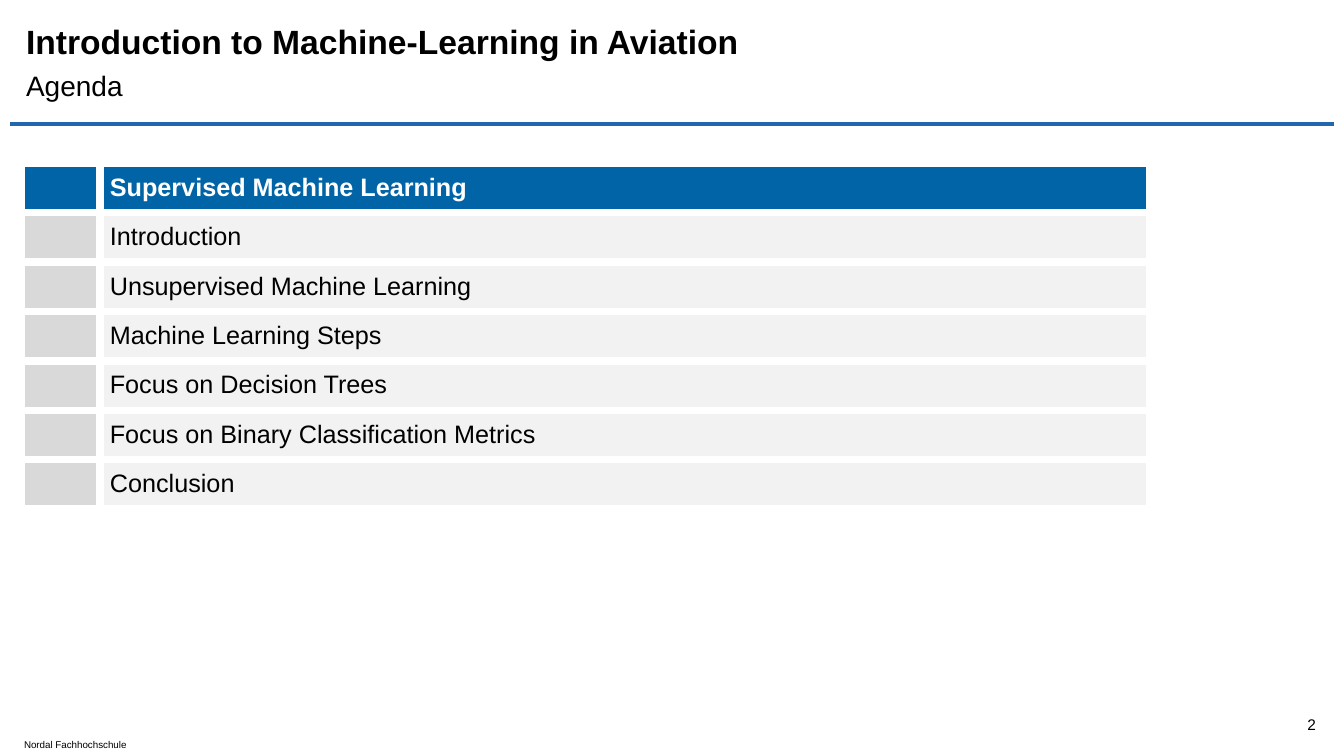
from lxml import etree
from pptx import Presentation
from pptx.dml.color import RGBColor
from pptx.enum.shapes import MSO_CONNECTOR
from pptx.enum.text import MSO_ANCHOR as ANCHOR, PP_ALIGN as ALIGN
from pptx.oxml import parse_xml
from pptx.oxml.ns import nsdecls, qn
from pptx.util import Inches, Pt

TOPICS = [
    "Supervised Machine Learning",
    "Introduction",
    "Unsupervised Machine Learning",
    "Machine Learning Steps",
    "Focus on Decision Trees",
    "Focus on Binary Classification Metrics",
    "Conclusion",
]
CURRENT = 0
# text, (left, top, width, height), size, bold, alignment, frame format
LABELS = [
    ("Introduction to Machine-Learning in Aviation", (0.16, 0.13, 10.13, 0.55),
     24, True, ALIGN.LEFT, {"vertical_anchor": ANCHOR.MIDDLE}),
    ("Agenda", (0.16, 0.68, 10.13, 0.47),
     20, False, ALIGN.LEFT, {"margin_top": 0}),
    ("Nordal Fachhochschule", (0.14, 7.28, 2.29, 0.22),
     7, False, ALIGN.LEFT, {}),
    ("2", (12.19, 7.06, 0.96, 0.25),
     11, False, ALIGN.RIGHT, {"vertical_anchor": ANCHOR.MIDDLE}),
]
RULE = {"left": 0.1, "right": 13.23, "top": 1.23}
AGENDA_LEFT, AGENDA_TOP = 0.21, 1.62
COLUMNS = (0.78, 10.41)
ROW_HEIGHT = 0.41
CELL_MARGINS = {"margin_left": 0.1, "margin_right": 0.1,
                "margin_top": 0.1, "margin_bottom": 0.09}
CURRENT_FILLS = ("0064A6", "0064A6")
OTHER_FILLS = ("D9D9D9", "F2F2F2")


def color(value):
    return RGBColor.from_string(value)


def write(frame, text, size, bold=False, ink="000000", align=ALIGN.LEFT):
    paragraph = frame.paragraphs[0]
    paragraph.alignment = align
    run = paragraph.add_run()
    run.text = text
    for name, value in {"name": "Arial", "size": Pt(size), "bold": bold}.items():
        setattr(run.font, name, value)
    run.font.color.rgb = color(ink)


def add_label(slide, text, box, size, bold, align, frame_format):
    frame = slide.shapes.add_textbox(*map(Inches, box)).text_frame
    frame.word_wrap = True
    for name, value in frame_format.items():
        setattr(frame, name, value)
    write(frame, text, size, bold, align=align)


def add_rule(slide):
    top = Inches(RULE["top"])
    rule = slide.shapes.add_connector(
        MSO_CONNECTOR.STRAIGHT, Inches(RULE["left"]), top, Inches(RULE["right"]), top)
    rule.line.color.rgb = color("2266AB")
    rule.line.width = Pt(2.5)
    etree.SubElement(rule._element.spPr, qn("a:effectLst"))


def style_cell(cell, fill):
    """Fill the cell and separate it from its neighbours with white borders."""
    cell.fill.solid()
    cell.fill.fore_color.rgb = color(fill)
    for position, side in enumerate(("lnL", "lnR", "lnT", "lnB")):
        border = parse_xml(
            f'<a:{side} {nsdecls("a")} w="{Pt(6)}"><a:solidFill>'
            f'<a:srgbClr val="FFFFFF"/></a:solidFill></a:{side}>')
        cell._tc.get_or_add_tcPr().insert(position, border)


def add_agenda(slide):
    agenda = slide.shapes.add_table(
        len(TOPICS), len(COLUMNS), Inches(AGENDA_LEFT), Inches(AGENDA_TOP),
        Inches(sum(COLUMNS)), Inches(ROW_HEIGHT * len(TOPICS))).table
    agenda.first_row = agenda.horz_banding = False
    for column, width in zip(agenda.columns, COLUMNS):
        column.width = Inches(width)
    for index, topic in enumerate(TOPICS):
        current = index == CURRENT
        agenda.rows[index].height = Inches(ROW_HEIGHT)
        for column, fill in enumerate(CURRENT_FILLS if current else OTHER_FILLS):
            style_cell(agenda.cell(index, column), fill)
        topic_cell = agenda.cell(index, 1)
        for name, value in CELL_MARGINS.items():
            setattr(topic_cell, name, Inches(value))
        write(topic_cell.text_frame, topic, 18, current,
              "FFFFFF" if current else "000000")


def main():
    deck = Presentation()
    deck.slide_width, deck.slide_height = Inches(13.33), Inches(7.5)
    slide = deck.slides.add_slide(deck.slide_layouts[6])
    add_rule(slide)
    for label in LABELS:
        add_label(slide, *label)
    add_agenda(slide)
    deck.save("out.pptx")


if __name__ == "__main__":
    main()
